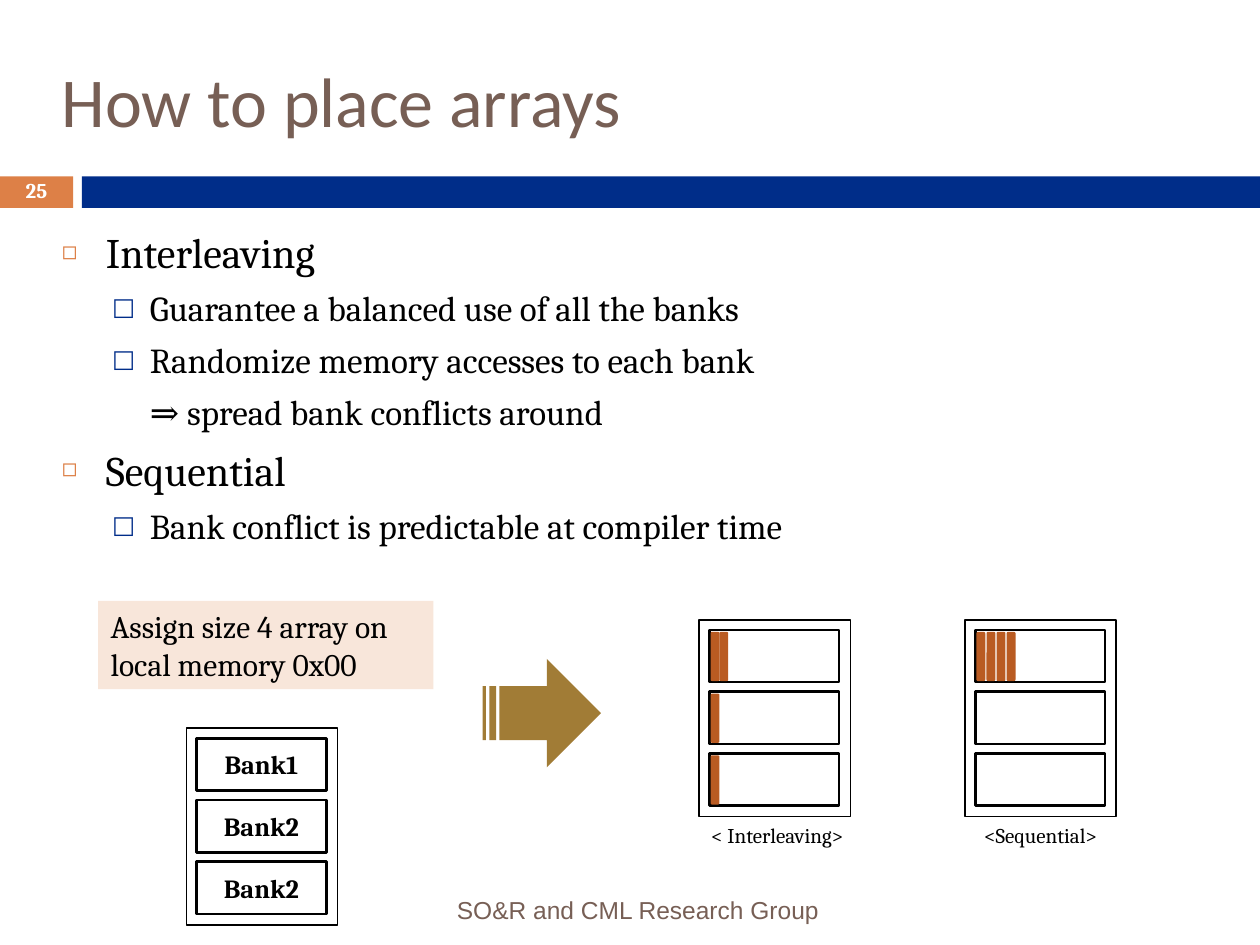
from lxml import etree
from pptx import Presentation
from pptx import util as u
from pptx.dml.color import RGBColor
from pptx.enum import shapes, text
from pptx.oxml.ns import qn

BLACK = RGBColor(0x00, 0x00, 0x00)
WHITE = RGBColor(0xFF, 0xFF, 0xFF)
BROWN = RGBColor(0x77, 0x5F, 0x55)
ORANGE = RGBColor(0xDD, 0x80, 0x47)
NAVY = RGBColor(0x00, 0x2D, 0x89)
PEACH = RGBColor(0xF8, 0xE6, 0xDA)
GOLD = RGBColor(0xA1, 0x7C, 0x36)
RUST = RGBColor(0xB9, 0x5B, 0x22)

CELL = 0.1  # inches; the slide is a grid of 100 columns by 75 rows
SERIF = "Cambria"

# Per list level: size, space before, left indent, hanging, bullet, colour, percent
LEVELS = [
    (24, 7, 0.35, 0.35, "◻", ORANGE, 60),
    (20, 5.5, 0.7, 0.3, "□", NAVY, 70),
]
OUTLINE = [
    (0, "Interleaving", True),
    (1, "Guarantee a balanced use of all the banks", True),
    (1, "Randomize memory accesses to each bank", True),
    (1, "⇒ spread bank conflicts around", False),
    (0, "Sequential", True),
    (1, "Bank conflict is predictable at compiler time", True),
]


def grid(*cells):
    return [u.Inches(cell * CELL) for cell in cells]


def move(shape, cells):
    shape.left, shape.top, shape.width, shape.height = grid(*cells)


def write(shape, *lines, size=18, font=SERIF, color=BLACK, bold=False,
          align=text.PP_ALIGN.LEFT, anchor=text.MSO_ANCHOR.MIDDLE, spacing=None):
    frame = shape.text_frame
    frame.word_wrap = True
    frame.auto_size = text.MSO_AUTO_SIZE.NONE
    frame.vertical_anchor = anchor
    frame.text = "\n".join(lines)
    for para in frame.paragraphs:
        para.alignment = align
        para.line_spacing = spacing
        para.font.size = u.Pt(size)
        para.font.name = font
        para.font.bold = bold
        para.font.color.rgb = color
    return shape


def add_block(page, cells, fill, line=None, kind=shapes.MSO_SHAPE.RECTANGLE):
    block = page.shapes.add_shape(kind, *grid(*cells))
    block.shadow.inherit = False
    block.fill.solid()
    block.fill.fore_color.rgb = fill
    if line:
        block.line.color.rgb = BLACK
        block.line.width = u.Pt(line)
    else:
        block.line.fill.background()
    return block


def add_label(page, cells, label, **style):
    return write(page.shapes.add_textbox(*grid(*cells)), label, **style)


def set_bullet(para, left, hanging, mark, color, percent):
    """Indent the paragraph; without a mark its text starts at the indent."""
    props = para._p.get_or_add_pPr()
    props.set("marL", str(u.Inches(left)))
    props.set("indent", str(-u.Inches(hanging) if mark else 0))
    if not mark:
        etree.SubElement(props, qn("a:buNone"))
        return
    tint = etree.SubElement(props, qn("a:buClr"))
    etree.SubElement(tint, qn("a:srgbClr"), val=str(color))
    etree.SubElement(props, qn("a:buSzPct"), val=str(percent * 1000))
    etree.SubElement(props, qn("a:buFont"), typeface=SERIF)
    etree.SubElement(props, qn("a:buChar"), char=mark)


def fill_outline(body):
    frame = body.text_frame
    frame.auto_size = text.MSO_AUTO_SIZE.NONE
    for index, (level, line, bulleted) in enumerate(OUTLINE):
        para = frame.add_paragraph() if index else frame.paragraphs[0]
        size, before, left, hanging, mark, color, percent = LEVELS[level]
        para.text = line
        para.level = level
        para.space_before = u.Pt(before if index else 0)
        set_bullet(para, left, hanging, mark if bulleted else None, color, percent)
        para.font.size = u.Pt(size)
        para.font.name = SERIF
        para.font.color.rgb = BLACK


def add_memory(page, col, row, labels=(), used=(), step=0.7):
    """Draw three banks in a frame; used gives the array cells in each bank."""
    add_block(page, (col, row, 12, 15.6), WHITE, line=1)
    for index in range(3):
        top = row + 0.8 + 4.9 * index
        bank = add_block(page, (col + 0.8, top, 10.3, 4.15), WHITE, line=1.5)
        if labels:
            write(bank, labels[index], size=15, bold=True, align=text.PP_ALIGN.CENTER)
        for cell in range(used[index] if used else 0):
            add_block(page, (col + 0.9 + step * cell, top + 0.15, 0.7, 3.9), RUST,
                      kind=shapes.MSO_SHAPE.ROUNDED_RECTANGLE)


def main():
    deck = Presentation()
    deck.slide_width, deck.slide_height = grid(100, 75)
    page = deck.slides.add_slide(deck.slide_layouts[1])
    title, body = page.placeholders

    move(title, (3.9, 2.5, 92, 10.8))
    write(title, "How to place arrays", size=40, font="Calibri", color=BROWN)
    move(body, (3.9, 17.5, 92, 28.6))
    fill_outline(body)

    number = add_block(page, (0, 14, 5.8, 2.5), ORANGE)
    write(number, "25", size=12, color=WHITE, bold=True,
          align=text.PP_ALIGN.CENTER, spacing=0.8)
    add_block(page, (6.5, 14, 93.5, 2.5), NAVY)
    add_label(page, (6.7, 70.2, 59.3, 4), "SO&R and CML Research Group", size=14,
              font="Arial", color=BROWN, align=text.PP_ALIGN.RIGHT)

    note = add_block(page, (7.8, 47.7, 26.6, 7), PEACH)
    write(note, "Assign size 4 array on", "local memory 0x00", anchor=text.MSO_ANCHOR.TOP)
    add_block(page, (38.3, 52.3, 9.4, 8.6), GOLD,
              kind=shapes.MSO_SHAPE.STRIPED_RIGHT_ARROW)

    add_memory(page, 14.8, 57.8, labels=("Bank1", "Bank2", "Bank2"))
    add_memory(page, 55.5, 49.2, used=(2, 1, 1))
    add_memory(page, 76.6, 49.2, used=(4, 0, 0), step=0.8)
    for col, caption in ((53.9, "< Interleaving>"), (74.8, "<Sequential>")):
        add_label(page, (col, 64.8, 15.6, 3), caption, size=12,
                  align=text.PP_ALIGN.CENTER, anchor=text.MSO_ANCHOR.TOP)

    deck.save("out.pptx")


if __name__ == "__main__":
    main()
